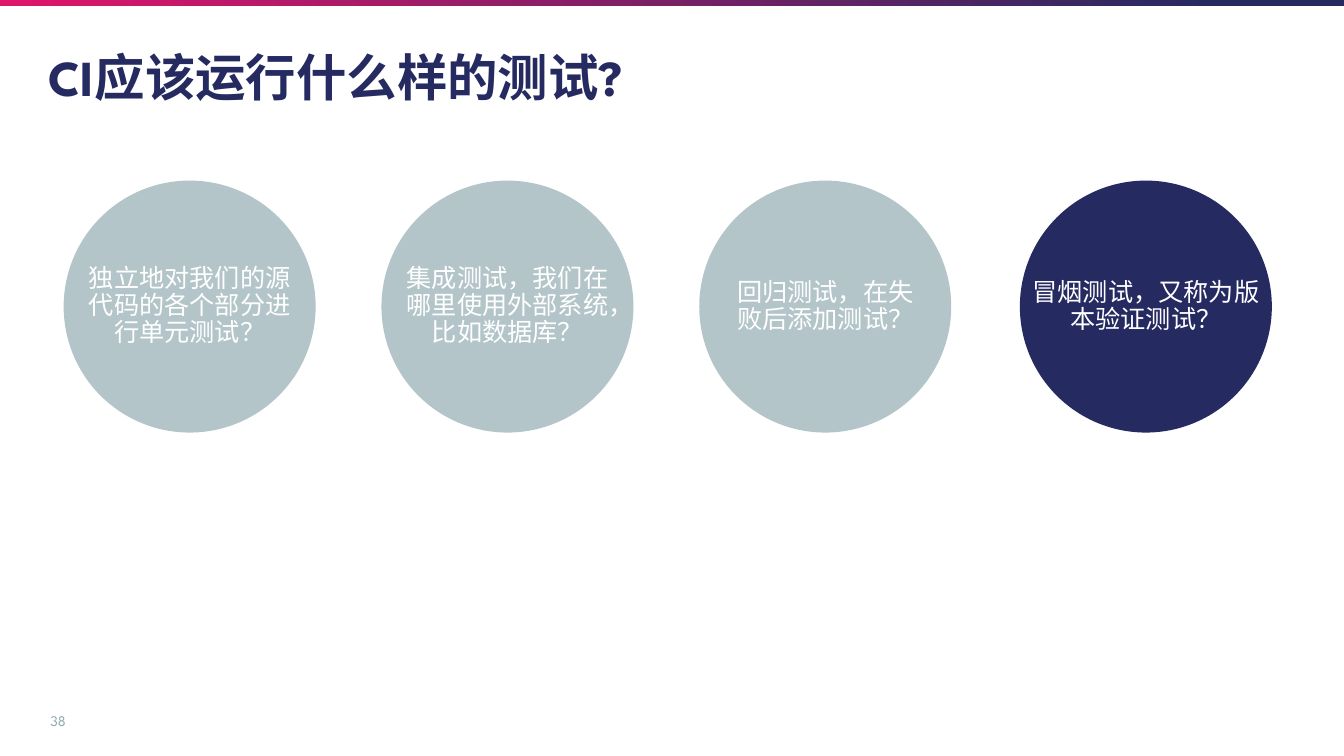
from pptx import Presentation
from pptx.dml.color import RGBColor
from pptx.enum import shapes, text
from pptx.util import Pt

FONT = "League Spartan"
NAVY, PINK, GREY, WHITE = "252A60", "DF156C", "B3C5C9", "FFFFFF"
DIAMETER, CIRCLE_TOP = 180, 129

# Circle left, label width, fill, question
QUESTIONS = [
    (45.5, 168.5, GREY, "独立地对我们的源代码的各个部分进行单元测试？"),
    (272.5, 169, GREY, "集成测试，我们在哪里使用外部系统，比如数据库？"),
    (499.5, 152, GREY, "回归测试，在失败后添加测试？"),
    (728.5, 180, NAVY, "冒烟测试，又称为版本验证测试？"),
]


def rgb(value):
    return RGBColor.from_string(value)


def write(sp, content, size, color, align, bold=False, spacing=0.9):
    tf = sp.text_frame
    tf.text = content
    tf.word_wrap = True
    tf.auto_size = text.MSO_AUTO_SIZE.NONE
    tf.vertical_anchor = text.MSO_ANCHOR.MIDDLE
    p = tf.paragraphs[0]
    p.alignment = align
    p.line_spacing = spacing
    font = p.runs[0].font
    font.name, font.size, font.bold = FONT, Pt(size), bold
    font.color.rgb = rgb(color)


def add_label(s, x, y, w, h, content, size, color, spacing=0.9):
    sp = s.shapes.add_textbox(Pt(x), Pt(y), Pt(w), Pt(h))
    write(sp, content, size, color, text.PP_ALIGN.CENTER, spacing=spacing)


def add_plain_shape(s, kind, x, y, w, h):
    sp = s.shapes.add_shape(kind, Pt(x), Pt(y), Pt(w), Pt(h))
    sp.shadow.inherit = False
    sp.line.fill.background()
    return sp


def add_top_bar(s, width):
    bar = add_plain_shape(s, shapes.MSO_SHAPE.RECTANGLE, 0, 0, width, 4)
    bar.fill.gradient()
    bar.fill.gradient_angle = 0
    for stop, color, position in zip(bar.fill.gradient_stops, (PINK, NAVY), (0, 0.91)):
        stop.color.rgb = rgb(color)
        stop.position = position


def add_title(s, content):
    title = s.shapes.title
    title.left, title.top, title.width, title.height = Pt(27.5), Pt(34), Pt(906), Pt(47)
    write(title, content, 36, NAVY, text.PP_ALIGN.LEFT, bold=True)


def add_question(s, left, label_width, color, question):
    """Draw a circle with its question centred on it."""
    circle = add_plain_shape(s, shapes.MSO_SHAPE.OVAL, left, CIRCLE_TOP, DIAMETER, DIAMETER)
    circle.fill.solid()
    circle.fill.fore_color.rgb = rgb(color)
    label_height = 105
    add_label(s, left + (DIAMETER - label_width) / 2,
              CIRCLE_TOP + (DIAMETER - label_height) / 2,
              label_width, label_height, question, 18, WHITE)


def main():
    prs = Presentation()
    prs.slide_width, prs.slide_height = Pt(960), Pt(540)
    s = prs.slides.add_slide(prs.slide_layouts[5])
    add_top_bar(s, 960)
    add_label(s, 27, 500.5, 29, 29, "38", 10.5, "8EA8AF", spacing=1)
    add_title(s, "CI应该运行什么样的测试?")
    for question in QUESTIONS:
        add_question(s, *question)
    prs.save("out.pptx")


if __name__ == "__main__":
    main()
